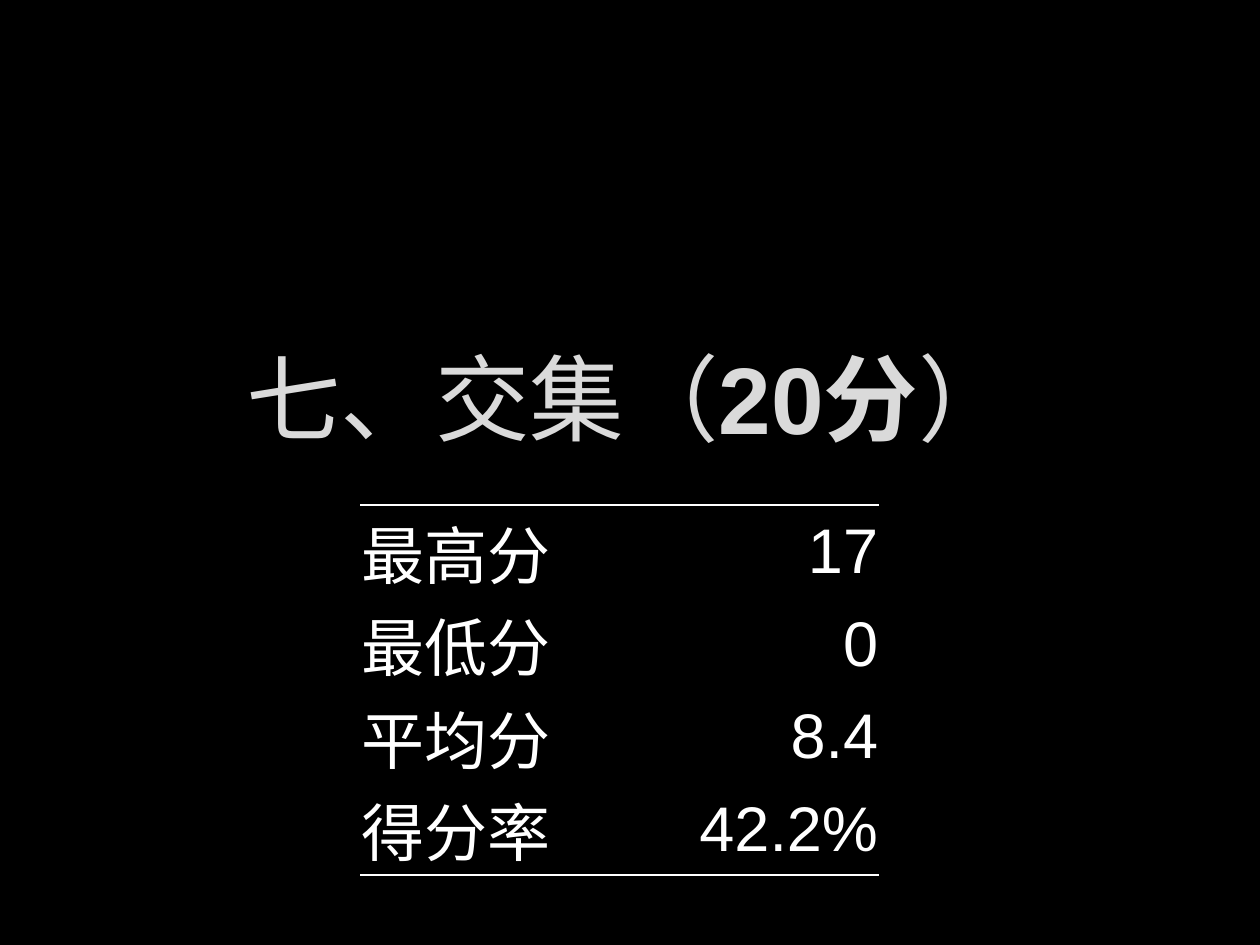
from lxml.etree import SubElement
from pptx import Presentation
from pptx.dml.color import RGBColor
from pptx.enum.text import MSO_ANCHOR, PP_ALIGN
from pptx.oxml import parse_xml
from pptx.oxml.ns import nsdecls, qn
from pptx.util import Cm, Pt

FONT = "Arial"
WHITE = "FFFFFF"
SCORES = [("最高分", "17"), ("最低分", "0"), ("平均分", "8.4"), ("得分率", "42.2%")]


def color(value):
    return RGBColor.from_string(value)


def style_run(run, size, value, bold=False):
    run.font.name = FONT
    run.font.size = Pt(size)
    run.font.bold = bold
    run.font.color.rgb = color(value)


def outline_run(run):
    line = parse_xml(
        f'<a:ln {nsdecls("a")} w="{Pt(0.75)}"><a:solidFill><a:srgbClr val="404040">'
        '<a:alpha val="10000"/></a:srgbClr></a:solidFill></a:ln>'
    )
    run.font._element.insert(0, line)


def set_borders(cell, visible):
    properties = cell._tc.get_or_add_tcPr()
    for side in ("lnL", "lnR", "lnT", "lnB"):
        line = SubElement(properties, qn(f"a:{side}"), w=str(Pt(1)))
        if side in visible:
            fill = SubElement(line, qn("a:solidFill"))
            SubElement(fill, qn("a:srgbClr"), val=WHITE)
        else:
            SubElement(line, qn("a:noFill"))


def add_title(slide, left, top, width, height):
    text_frame = slide.shapes.add_textbox(left, top, width, height).text_frame
    text_frame.word_wrap = True
    text_frame.vertical_anchor = MSO_ANCHOR.BOTTOM
    paragraph = text_frame.paragraphs[0]
    paragraph.alignment = PP_ALIGN.CENTER
    for text, bold in (("七、交集（", False), ("20分", True), ("）", False)):
        run = paragraph.add_run()
        run.text = text
        style_run(run, 54, "DADADA", bold)
        outline_run(run)


def fill_cell(cell, text, alignment, visible):
    cell.margin_left = cell.margin_right = cell.margin_top = Cm(0.02)
    cell.margin_bottom = 0
    cell.vertical_anchor = MSO_ANCHOR.MIDDLE
    set_borders(cell, visible)
    cell.fill.background()
    paragraph = cell.text_frame.paragraphs[0]
    paragraph.text = text
    paragraph.alignment = alignment
    style_run(paragraph.runs[0], 36, WHITE)


def add_score_table(slide, left, top, width, height):
    table = slide.shapes.add_table(len(SCORES), 2, left, top, width, height).table
    table.first_row = False
    table.horz_banding = False
    table.columns[0].width = Cm(4.5)
    table.columns[1].width = width - Cm(4.5)
    borders = {0: ("lnT",), len(SCORES) - 1: ("lnB",)}
    for row, texts in enumerate(SCORES):
        for column, alignment in enumerate((PP_ALIGN.LEFT, PP_ALIGN.RIGHT)):
            cell = table.cell(row, column)
            fill_cell(cell, texts[column], alignment, borders.get(row, ()))


def main():
    presentation = Presentation()
    presentation.slide_width = Cm(25.4)
    presentation.slide_height = Cm(19.05)
    slide = presentation.slides.add_slide(presentation.slide_layouts[6])
    slide.background.fill.solid()
    slide.background.fill.fore_color.rgb = color("000000")
    add_title(slide, Cm(2.86), Cm(4.19), Cm(19.66), Cm(5.08))
    add_score_table(slide, Cm(7.26), Cm(10.18), Cm(10.46), Cm(7.46))
    presentation.save("out.pptx")


if __name__ == "__main__":
    main()
